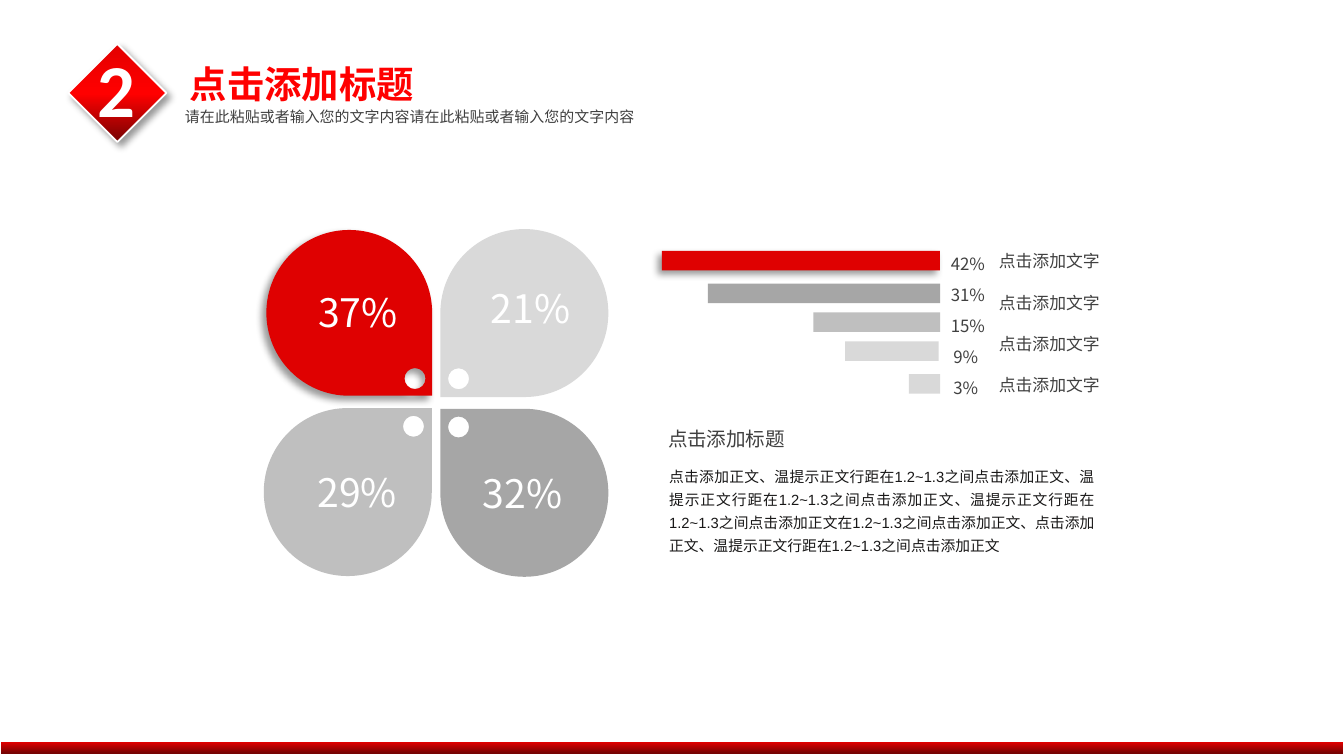
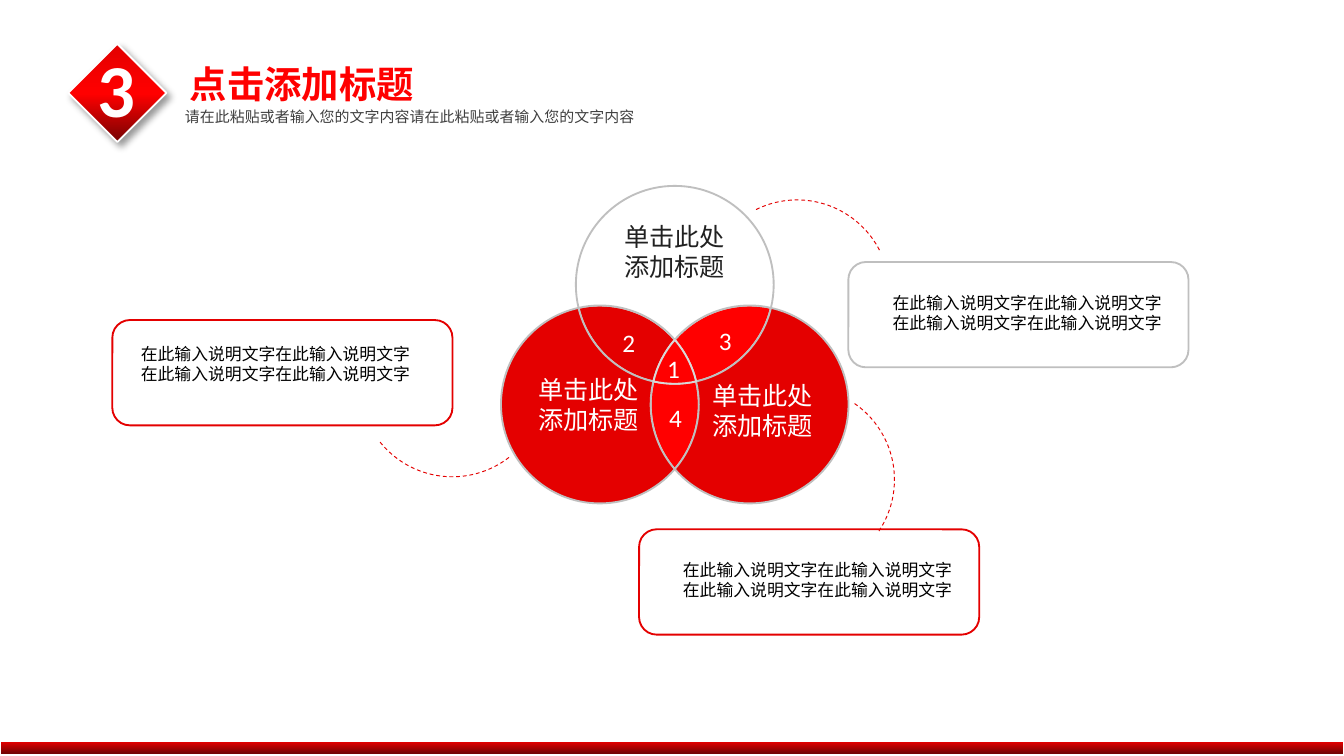
from copy import deepcopy
from dataclasses import dataclass
from itertools import combinations
from math import atan2, copysign, cos, degrees, dist, radians, sin, sqrt, tan

from lxml.etree import SubElement
from pptx import Presentation
from pptx.dml.color import RGBColor
from pptx.enum.dml import MSO_LINE
from pptx.enum.shapes import MSO_SHAPE as Preset
from pptx.enum.text import MSO_ANCHOR, MSO_AUTO_SIZE as AutoSize, PP_ALIGN as Align
from pptx.oxml.ns import qn
from pptx.util import Pt


@dataclass(frozen=True)
class Theme:
    red: str = "E40000"
    bright: str = "FF0000"
    highlight: str = "DF0101"
    gradient_top: str = "E30000"
    gradient_end: str = "760303"
    white: str = "FFFFFF"
    black: str = "000000"
    ink: str = "212121"
    body: str = "181717"
    text: str = "404040"
    grey_dark: str = "A6A6A6"
    grey: str = "BFBFBF"
    grey_light: str = "D9D9D9"
    grey_line: str = "D8D8D8"
    sans: str = "Noto Sans CJK SC"
    latin: str = "Calibri"
    plain: str = "Arial"
    badge_size: float = 40
    title_size: float = 20
    petal_size: float = 21
    circle_size: float = 13.5
    heading_size: float = 10.5
    label_size: float = 9
    subtitle_size: float = 8
    body_size: float = 7.9


theme = Theme()
rgb = RGBColor.from_string


def write(slide, text, left, top, width, height, size=theme.label_size, color=theme.text,
          font=theme.plain, bold=False, align=Align.LEFT, wrap=False, spacing=None, shape=None):
    """Write text into a new text box, or into the given placeholder."""
    if shape is None:
        shape = slide.shapes.add_textbox(0, 0, 0, 0)
    shape.left, shape.top, shape.width, shape.height = Pt(left), Pt(top), Pt(width), Pt(height)
    frame = shape.text_frame
    frame.text = text
    frame.word_wrap = wrap
    frame.auto_size = AutoSize.SHAPE_TO_FIT_TEXT
    frame.vertical_anchor = MSO_ANCHOR.TOP
    for paragraph in frame.paragraphs:
        paragraph.alignment = align
        if spacing:
            paragraph.line_spacing = spacing
        for run in paragraph.runs:
            run.font.size, run.font.bold, run.font.name = Pt(size), bold, font
            run.font.color.rgb = rgb(color)
    for properties in shape.element.iter(qn("a:rPr")):
        SubElement(properties, qn("a:ea"), typeface=font)


def outline(slide, contours, fill, line=None):
    """Draw closed contours, each a list of arcs (centre, radius, start, sweep)."""
    builder, curved = None, []
    for arcs in contours:
        points = []
        for (x, y), radius, start, sweep in arcs:
            low, high = sorted((start, start + sweep))
            cuts = [low, *(a for a in range(-720, 721, 90) if low + 0.01 < a < high - 0.01), high]
            cuts = [radians(cut) for cut in (cuts if sweep >= 0 else cuts[::-1])]
            first = (x + radius * cos(cuts[0]), y + radius * sin(cuts[0]))
            if not points or dist(points[-1], first) > 0.01:
                curved += [False] if points else []
                points.append(first)
            for a, b in zip(cuts, cuts[1:] if sweep else []):
                pull = 4 / 3 * tan((b - a) / 4)
                points += [(x + radius * (cos(a) - pull * sin(a)), y + radius * (sin(a) + pull * cos(a))),
                           (x + radius * (cos(b) + pull * sin(b)), y + radius * (sin(b) - pull * cos(b))),
                           (x + radius * cos(b), y + radius * sin(b))]
                curved += [True] * 3
        points = [(Pt(x), Pt(y)) for x, y in points]
        if builder is None:
            builder = slide.shapes.build_freeform(*points[0], scale=1.0)
        else:
            builder.move_to(*points[0])
        builder.add_line_segments(points[1:], close=True)
    shape = builder.convert_to_shape()
    # Turn each three segments of an arc into one Bezier curve
    steps = [step for step, bend in zip(shape.element.xpath(".//a:lnTo"), curved) if bend]
    for index in range(0, len(steps), 3):
        curve = SubElement(steps[index].getparent(), qn("a:cubicBezTo"))
        steps[index].addprevious(curve)
        for step in steps[index:index + 3]:
            curve.append(step[0])
            step.getparent().remove(step)
    shape.shadow.inherit = False
    shape.fill.solid()
    shape.fill.fore_color.rgb = rgb(fill)
    if line:
        shape.line.color.rgb = rgb(line)
        shape.line.width = Pt(1)
    else:
        shape.line.fill.background()
    return shape


presentation = Presentation()
presentation.slide_width, presentation.slide_height = Pt(720), Pt(405)
shadowed = []  # (shape, shadow direction in degrees)

# Header and bottom band of both slides
for number in ("2", "3"):
    slide = presentation.slides.add_slide(presentation.slide_layouts[5])
    diamond = slide.shapes.add_shape(Preset.DIAMOND, Pt(36.6), Pt(23.5), Pt(52.6), Pt(52.6))
    band = slide.shapes.add_shape(Preset.RECTANGLE, Pt(0.3), Pt(397.5), Pt(719.4), Pt(6))
    for shape in (diamond, band):
        shape.shadow.inherit = False
        shape.fill.gradient()
        shape.fill.gradient_angle = 270
        first, last = shape.fill.gradient_stops
        first.color.rgb, last.color.rgb = rgb(theme.gradient_top), rgb(theme.gradient_end)
        first.position, last.position = 0, 1
    stops = diamond.element.xpath(".//a:gsLst")[0]
    stops.insert(1, deepcopy(stops[0]))
    middle = diamond.fill.gradient_stops[1]
    middle.color.rgb, middle.position = rgb(theme.bright), 0.51
    diamond.line.color.rgb = rgb(theme.white)
    diamond.line.width = Pt(1)
    band.line.fill.background()
    shadowed.append((diamond, 45))

    write(slide, number, 45.4, 19.4, 22.3, 55.4, size=theme.badge_size, color=theme.white,
          font=theme.latin, bold=True, wrap=True)
    write(slide, "点击添加标题 ", 91.4, 29.2, 145.4, 31, size=theme.title_size, color=theme.bright,
          font=theme.sans, bold=True, align=Align.CENTER, shape=slide.shapes.title)
    write(slide, "请在此粘贴或者输入您的文字内容请在此粘贴或者输入您的文字内容", 92, 54, 347.8, 26.6,
          size=theme.subtitle_size, font=theme.sans, wrap=True)

petal_slide, venn_slide = presentation.slides

# Petals: three quarters of a circle, a corner, and a round hole near it
petals = [  # centre, radius, corner direction, colour, text, text position
    ((187.1, 167.6), 44.4, 45, theme.highlight, "37%", (163.4, 151.2)),
    ((280.9, 167.7), 45, 135, theme.grey_light, "21%", (255.8, 149)),
    ((186.3, 263.6), 45, 315, theme.grey, "29%", (162.9, 247.4)),
    ((280.9, 264), 45, 225, theme.grey_dark, "32%", (251.5, 248.1)),
]
for centre, radius, corner, color, text, (left, top) in petals:
    angle = radians(corner)
    hole = (centre[0] + 49.8 * cos(angle), centre[1] + 49.8 * sin(angle))
    petal = outline(petal_slide, [
        [(hole, 5.6, 0, 360)],
        [(centre, radius, corner + 45, 270), (centre, radius * sqrt(2), corner, 0)],
    ], color)
    if color == theme.highlight:
        shadowed.append((petal, 135))
    write(petal_slide, text, left, top, 61.9, 33, size=theme.petal_size, color=theme.white,
          font=theme.sans)

# Bars, aligned on the right, with their percentages
bars = [  # left, top, width, colour, percentage, percentage left
    (354.6, 134.4, 149, theme.highlight, "42%", 502.3),
    (379.2, 152, 124.4, theme.grey_dark, "31%", 502.3),
    (435.7, 167.4, 68, theme.grey, "15%", 502.3),
    (452.7, 182.9, 50.2, theme.grey_light, "9%", 503.7),
    (486.9, 200.4, 16.8, theme.grey_light, "3%", 503.7),
]
for row, (left, top, width, color, text, text_left) in enumerate(bars):
    bar = petal_slide.shapes.add_shape(Preset.RECTANGLE, Pt(left), Pt(top), Pt(width), Pt(10.5))
    bar.shadow.inherit = False
    bar.fill.solid()
    bar.fill.fore_color.rgb = rgb(color)
    bar.line.fill.background()
    if color == theme.highlight:
        shadowed.append((bar, 135))
    write(petal_slide, text, text_left, 132.4 + 16.6 * row, 33.5, 18, font=theme.sans)

for row in range(4):
    write(petal_slide, "点击添加文字", 528, 130.9 + 22.1 * row, 68.4, 18.7)

# Explanation under the bars
write(petal_slide, "点击添加标题", 350.8, 225.4, 77.8, 20.9, size=theme.heading_size)
write(petal_slide,
      "点击添加正文、温提示正文行距在1.2~1.3之间点击添加正文、温提示正文行距在1.2~1.3之间"
      "点击添加正文、温提示正文行距在1.2~1.3之间点击添加正文在1.2~1.3之间点击添加正文、"
      "点击添加正文、温提示正文行距在1.2~1.3之间点击添加正文",
      351.4, 244.1, 241.9, 56.2, size=theme.body_size, color=theme.body,
      align=Align.JUSTIFY, wrap=True, spacing=1.3)

# Three overlapping circles and the points where they cross
circle_radius = 53
circles = {"top": (361.5, 152.6), "left": (321.4, 216.7), "right": (401.6, 216.7)}
crossings = []
for (x1, y1), (x2, y2) in combinations(circles.values(), 2):
    gap = dist((x1, y1), (x2, y2))
    reach = sqrt(circle_radius ** 2 - gap ** 2 / 4) / gap
    for side in (1, -1):
        crossings.append(((x1 + x2) / 2 + side * reach * (y2 - y1),
                          (y1 + y2) / 2 - side * reach * (x2 - x1)))
inner_right, outer_left, outer_right, inner_left, upper, lower = crossings

# Regions: colour, line, and edges as circle, start and end; "long" takes the far way round
regions = [
    (theme.red, theme.grey_line, [("left", outer_left, upper), ("right", upper, inner_left),
                                  ("top", inner_left, outer_left)]),
    (theme.bright, theme.grey_line, [("right", upper, outer_right), ("top", outer_right, inner_right),
                                     ("left", inner_right, upper)]),
    (theme.bright, theme.grey_line, [("top", inner_left, inner_right), ("left", inner_right, lower),
                                     ("right", lower, inner_left)]),
    (theme.white, theme.grey, [("top", outer_left, outer_right, "long"),
                               ("right", outer_right, upper), ("left", upper, outer_left)]),
    (theme.red, theme.grey, [("top", outer_left, inner_left), ("right", inner_left, lower),
                             ("left", lower, outer_left, "long")]),
    (theme.red, theme.grey, [("top", outer_right, inner_right), ("left", inner_right, lower),
                             ("right", lower, outer_right, "long")]),
    (theme.bright, theme.grey_line, [("left", upper, inner_right), ("top", inner_right, inner_left),
                                     ("right", inner_left, upper)]),
]
for color, line, edges in regions:
    arcs = []
    for name, begin, end, *far in edges:
        x, y = circles[name]
        start, stop = (degrees(atan2(point[1] - y, point[0] - x)) for point in (begin, end))
        sweep = (stop - start + 180) % 360 - 180
        if far:
            sweep -= copysign(360, sweep)
        arcs.append(((x, y), circle_radius, start, sweep))
    outline(venn_slide, [arcs], color, line)

# Texts on the circles
for text, left, top in [("1", 350.4, 185.8), ("2", 326.4, 171.6), ("3", 378, 170.6), ("4", 351.4, 212.1)]:
    write(venn_slide, text, left, top, 21.6, 23.8, size=theme.circle_size, color=theme.white,
          font=theme.latin)
for left, top, color in [(327.3, 114.8, theme.ink), (281.1, 197, theme.white),
                         (374.4, 200.2, theme.white)]:
    write(venn_slide, "单击此处\n添加标题", left, top, 68.4, 41, size=theme.circle_size, color=color,
          font=theme.latin, align=Align.CENTER)

# Callouts with dashed arcs towards the circles
callouts = [  # box position, colour, text position, arc position, arc rotation
    ((60.2, 171.5), theme.red, (68.4, 180.7), (192.7, 156.2), 142.3),
    ((342.4, 283.6), theme.red, (358.8, 296.3), (380, 207.4), 34.7),
    ((454.5, 140.4), theme.grey, (471.1, 153.2), (377.5, 107.1), 333.7),
]
for (left, top), color, (text_left, text_top), (arc_left, arc_top), rotation in callouts:
    box = venn_slide.shapes.add_shape(Preset.ROUNDED_RECTANGLE, Pt(left), Pt(top), Pt(182.2), Pt(56.4))
    box.line.color.rgb = rgb(color)
    box.line.width = Pt(1)
    arc = venn_slide.shapes.add_shape(Preset.ARC, Pt(arc_left), Pt(arc_top), Pt(99.2), Pt(99.2))
    arc.rotation = rotation
    arc.line.color.rgb = rgb(theme.red)
    arc.line.width = Pt(0.5)
    arc.line.dash_style = MSO_LINE.DASH
    for shape in (box, arc):
        shape.shadow.inherit = False
        shape.fill.background()
    write(venn_slide, "在此输入说明文字" * 4, text_left, text_top, 165.6, 29.5,
          color=theme.black, font=theme.latin, wrap=True)

# Soft shadows
for shape, direction in shadowed:
    effects = shape.element.xpath(".//a:effectLst")[0]
    shadow = SubElement(effects, qn("a:outerShdw"), blurRad=str(Pt(4)), dist=str(Pt(3)),
                        dir=str(direction * 60000), algn="ctr", rotWithShape="0")
    shade = SubElement(shadow, qn("a:srgbClr"), val=theme.black)
    SubElement(shade, qn("a:alpha"), val="40000")

presentation.save("out.pptx")
